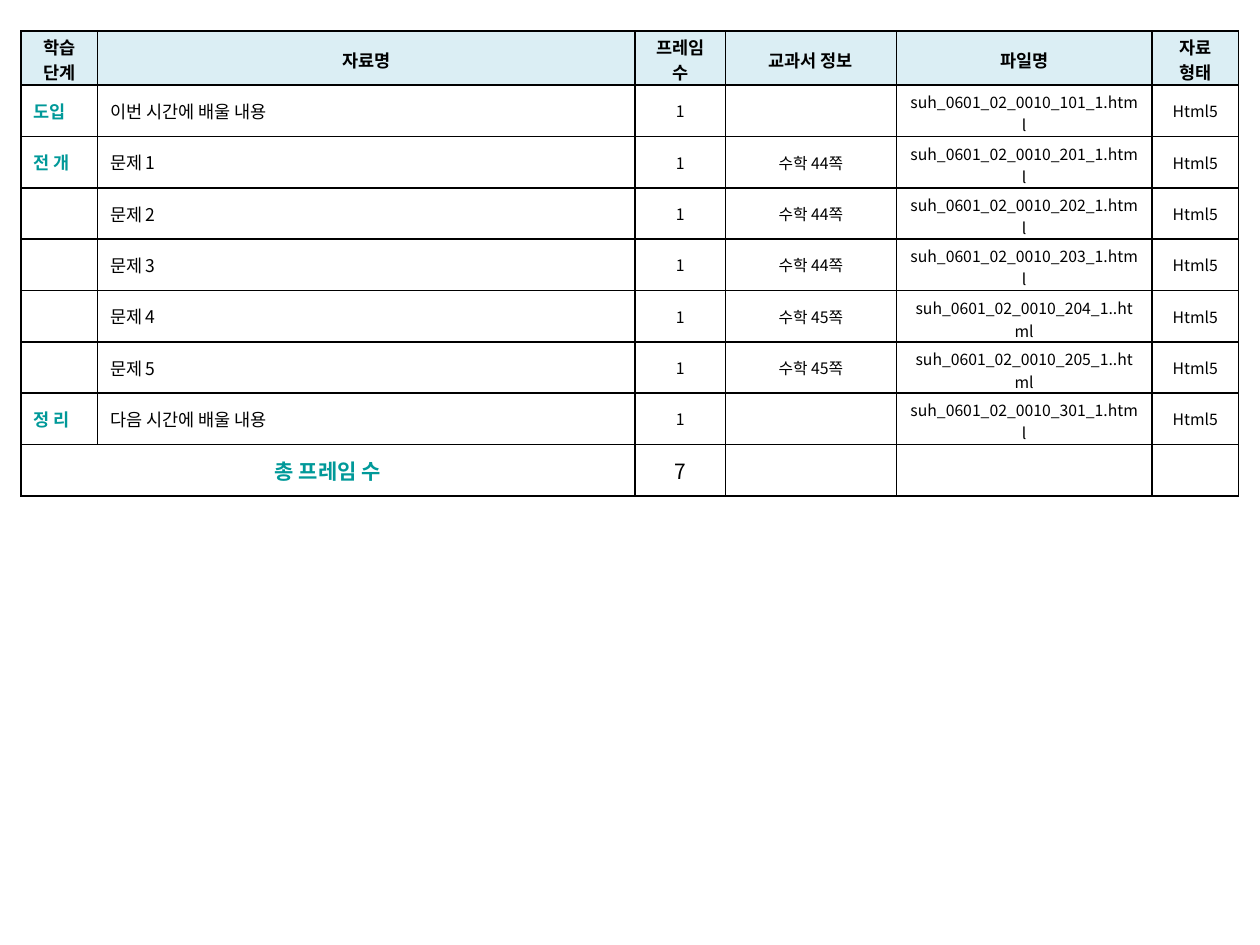
"""Builds a lesson material list as one table slide."""
from dataclasses import dataclass

from lxml import etree
from pptx import Presentation
from pptx.dml.color import RGBColor
from pptx.enum.text import MSO_ANCHOR, PP_ALIGN
from pptx.oxml.ns import qn
from pptx.util import Pt

MIDDLE = MSO_ANCHOR.MIDDLE
LEFT, CENTER, JUSTIFY = PP_ALIGN.LEFT, PP_ALIGN.CENTER, PP_ALIGN.JUSTIFY


@dataclass(frozen=True)
class Theme:
    font: str = "Noto Sans CJK KR"
    ink: str = "000000"
    accent: str = "009999"
    header: str = "DBEEF4"
    small: int = 9
    body: int = 10
    total: int = 12


def set_borders(cell, color):
    tcPr = cell._tc.get_or_add_tcPr()
    for side in ("a:lnL", "a:lnR", "a:lnT", "a:lnB"):
        ln = etree.SubElement(tcPr, qn(side), w=str(Pt(1)))
        fill = etree.SubElement(ln, qn("a:solidFill"))
        etree.SubElement(fill, qn("a:srgbClr"), val=color)


def set_font(p, size, color, bold):
    p.font.name = theme.font
    p.font.size = Pt(size)
    p.font.bold = bold
    p.font.color.rgb = RGBColor.from_string(color)
    etree.SubElement(p.font._element, qn("a:ea"), typeface=theme.font)
    if not p.text:
        etree.SubElement(p._p, qn("a:endParaRPr"), sz=str(size * 100))


theme = Theme()
materials = [
    ("도입", "이번 시간에 배울 내용", "", "101_1.html"),
    ("전 개", "문제 1", "수학 44쪽", "201_1.html"),
    ("", "문제 2", "수학 44쪽", "202_1.html"),
    ("", "문제 3", "수학 44쪽", "203_1.html"),
    ("", "문제 4", "수학 45쪽", "204_1..html"),
    ("", "문제 5", "수학 45쪽", "205_1..html"),
    ("정 리", "다음 시간에 배울 내용", "", "301_1.html"),
]
rows = [("학습 단계", "자료명", "프레임 수", "교과서 정보", "파일명", "자료\n형태")]
for stage, title, pages, file_end in materials:
    rows.append((stage, title, "1", pages, f"suh_0601_02_0010_{file_end}", "Html5"))
rows.append(("총 프레임 수", "", str(len(materials)), "", "", ""))
total_row = len(rows) - 1
widths = [43.7, 307.2, 51.7, 97.7, 146, 49.6]
heights = [31] + [29.36] * total_row

prs = Presentation()
prs.slide_width, prs.slide_height = Pt(720), Pt(540)
s = prs.slides.add_slide(prs.slide_layouts[6])
table = s.shapes.add_table(
    len(rows), len(widths), Pt(12), Pt(17.7), Pt(sum(widths)), Pt(sum(heights))
).table
for column, width in zip(table.columns, widths):
    column.width = Pt(width)
for row, height in zip(table.rows, heights):
    row.height = Pt(height)
table.cell(total_row, 0).merge(table.cell(total_row, 1))

for r, texts in enumerate(rows):
    for c, text in enumerate(texts):
        cell = table.cell(r, c)
        is_header, is_total = r == 0, r == total_row
        set_borders(cell, theme.ink)
        if is_header:
            cell.fill.solid()
            cell.fill.fore_color.rgb = RGBColor.from_string(theme.header)
        else:
            cell.fill.background()
        cell.vertical_anchor = MIDDLE
        cell.margin_left = cell.margin_right = Pt(7.2)
        cell.margin_top = cell.margin_bottom = Pt(3.6)
        if is_header or c == 4:
            cell.margin_top = Pt(1.8 if is_header else 3)
            cell.margin_bottom = Pt(0)

        if is_header:
            size, align = theme.body, CENTER
        elif is_total:
            size, align = theme.total, CENTER
        elif c < 2:
            size, align = theme.body, (JUSTIFY, LEFT)[c]
        else:
            size, align = theme.small, CENTER
        is_label = c == 0 and not is_header
        cell.text = text
        for p in cell.text_frame.paragraphs:
            p.alignment = align
            set_font(p, size, theme.accent if is_label else theme.ink, is_header or is_label)

prs.save("out.pptx")
